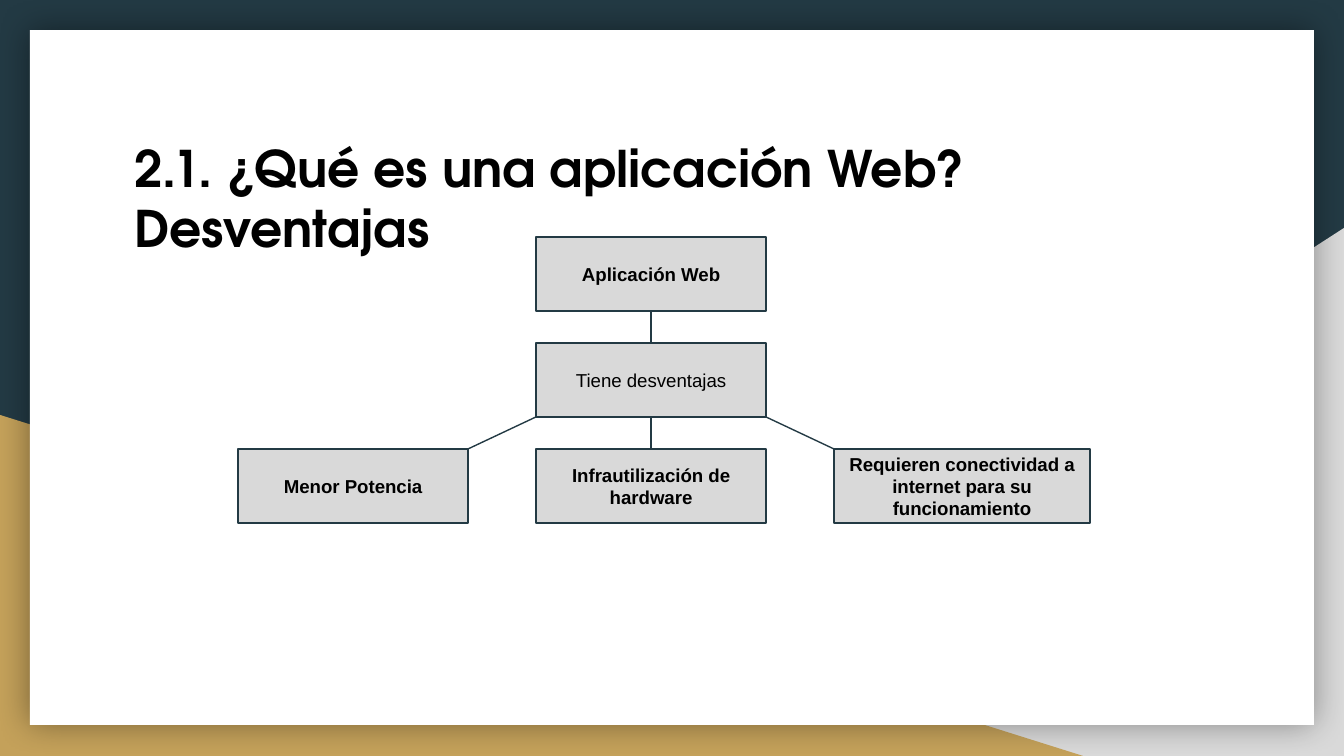
"""Builds a slide with a small tree of the drawbacks of web applications."""
from dataclasses import dataclass

from lxml import etree
from pptx import Presentation
from pptx.dml.color import RGBColor
from pptx.enum.shapes import MSO_CONNECTOR, MSO_SHAPE
from pptx.enum.text import MSO_ANCHOR, PP_ALIGN
from pptx.oxml import parse_xml
from pptx.oxml.ns import nsdecls, qn
from pptx.util import Emu, Pt

RECT = MSO_SHAPE.RECTANGLE
WEDGE = MSO_SHAPE.RIGHT_TRIANGLE
LINE = MSO_CONNECTOR.STRAIGHT
MIDDLE, TOP = MSO_ANCHOR.MIDDLE, MSO_ANCHOR.TOP
CENTER, LEFT = PP_ALIGN.CENTER, PP_ALIGN.LEFT
UP, DOWN = 0, 2
SCALE = 914400 / 134.4


@dataclass(frozen=True)
class Theme:
    """Colours, fonts and type sizes of the slide."""
    navy: str = "233A44"
    gold: str = "C4A15A"
    gray: str = "D9D9D9"
    white: str = "FFFFFF"
    black: str = "000000"
    head: str = "TeX Gyre Adventor"
    body: str = "Arial"
    big: int = 27
    small: int = 10
    rule: float = 0.75


def px(*sizes):
    """Turn px lengths into EMU."""
    return [Emu(round(size * SCALE)) for size in sizes]


class Painter:
    """Draws each kind of element on the current slide."""

    def __init__(self, slide, theme):
        """Keep the slide and the theme."""
        self.slide, self.theme = slide, theme

    def ground(self, color):
        """Fill the slide background."""
        fill = self.slide.background.fill
        fill.solid()
        fill.fore_color.rgb = RGBColor.from_string(color)

    def shape(self, kind, area, color, flip=False):
        """Add a filled shape without an outline."""
        shape = self.slide.shapes.add_shape(kind, *px(*area))
        shape.shadow.inherit = False
        shape.fill.solid()
        shape.fill.fore_color.rgb = RGBColor.from_string(color)
        shape.line.fill.background()
        if flip:
            shape._element.spPr.xfrm.set("flipH", "1")
        return shape

    def card(self, area):
        """Add the white panel with its soft shadow."""
        card = self.shape(RECT, area, self.theme.white)
        glow = card._element.spPr.find(qn("a:effectLst"))
        glow.append(parse_xml(
            f'<a:outerShdw {nsdecls("a")} blurRad="{Pt(18)}" dist="0" dir="0" '
            f'algn="ctr" rotWithShape="0"><a:srgbClr val="{self.theme.black}">'
            '<a:alpha val="40000"/></a:srgbClr></a:outerShdw>'))

    def label(self, shape, text, face, size, bold, anchor, align):
        """Set the text of a shape."""
        frame = shape.text_frame
        pad, = px(13)
        form = {"word_wrap": True, "vertical_anchor": anchor,
                "margin_left": pad, "margin_right": pad,
                "margin_top": pad, "margin_bottom": pad}
        for name, value in form.items():
            setattr(frame, name, value)
        part = frame.paragraphs[0]
        part.alignment = align
        run = part.add_run()
        run.text = text
        for name, value in {"name": face, "size": Pt(size), "bold": bold}.items():
            setattr(run.font, name, value)
        run.font.color.rgb = RGBColor.from_string(self.theme.black)

    def title(self, area, text):
        """Add the slide title."""
        box = self.slide.shapes.add_textbox(*px(*area))
        self.label(box, text, self.theme.head, self.theme.big, True, TOP, LEFT)

    def stroke(self, item):
        """Give an outline or a line its style."""
        item.line.color.rgb = RGBColor.from_string(self.theme.navy)
        item.line.width = Pt(self.theme.rule)

    def node(self, area, text, bold=True):
        """Add a box of the tree."""
        box = self.shape(RECT, area, self.theme.gray)
        self.stroke(box)
        self.label(box, text, self.theme.body, self.theme.small, bold, MIDDLE, CENTER)
        return box

    def link(self, start, end):
        """Add a line between two points."""
        line = self.slide.shapes.add_connector(LINE, *px(*start, *end))
        self.stroke(line)
        etree.SubElement(line._element.spPr, qn("a:effectLst"))
        return line

    def join(self, upper, lower):
        """Join the bottom of one box to the top of the next."""
        line = self.link((0, 0), (0, 0))
        line.begin_connect(upper, DOWN)
        line.end_connect(lower, UP)


def main():
    """Build and save the slide."""
    deck = Presentation()
    deck.slide_width, deck.slide_height = px(1344, 756)
    theme = Theme()
    pen = Painter(deck.slides.add_slide(deck.slide_layouts[6]), theme)
    pen.ground(theme.navy)
    pen.shape(WEDGE, (527, 228, 817, 528), theme.gray, flip=True)
    pen.shape(WEDGE, (0, 415, 1083, 341), theme.gold)
    pen.card((30, 30, 1284, 695))
    pen.title((121, 124, 1103, 106), "2.1. ¿Qué es una aplicación Web? Desventajas")

    wide, high = 230, 74
    cols = [238 + 298 * col for col in range(3)]
    rows = [237 + 106 * row for row in range(3)]
    mid = cols[1]
    root = pen.node((mid, rows[0], wide, high), "Aplicación Web")
    hub = pen.node((mid, rows[1], wide, high), "Tiene desventajas", bold=False)
    leaves = (("Menor Potencia", wide),
              ("Infrautilización de hardware", wide),
              ("Requieren conectividad a internet para su funcionamiento", 256))
    boxes = [pen.node((left, rows[2], width, high), text)
             for left, (text, width) in zip(cols, leaves)]

    pen.join(root, hub)
    pen.join(hub, boxes[1])
    base = rows[1] + high
    pen.link((mid, base), (cols[0] + wide, rows[2]))
    pen.link((mid + wide, base), (cols[2], rows[2]))
    deck.save("out.pptx")


if __name__ == "__main__":
    main()
